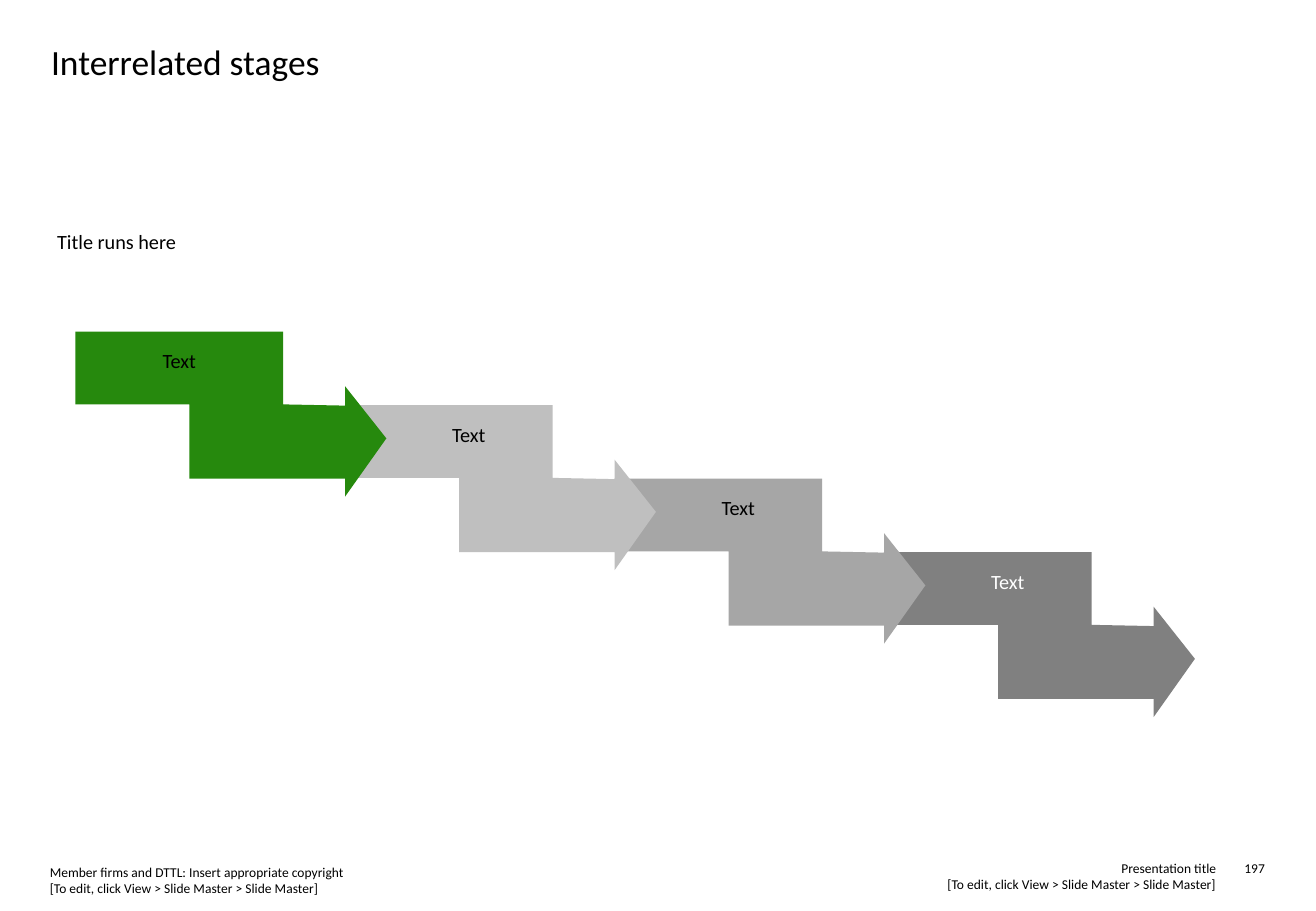
from pptx import Presentation
from pptx.dml.color import RGBColor
from pptx.enum.text import MSO_ANCHOR, PP_ALIGN
from pptx.util import Inches, Pt

BLACK = RGBColor(0x00, 0x00, 0x00)
WHITE = RGBColor(0xFF, 0xFF, 0xFF)
GREEN = RGBColor(0x26, 0x89, 0x0D)
LIGHT = RGBColor(0xBF, 0xBF, 0xBF)
MEDIUM = RGBColor(0xA6, 0xA6, 0xA6)
DARK = RGBColor(0x80, 0x80, 0x80)

STAGES = [
    ("Text", GREEN, BLACK, 0.02, 1.67),
    ("Text", LIGHT, BLACK, 0.35, 1.34),
    ("Text", MEDIUM, BLACK, 0.35, 1.34),
    ("Text", DARK, WHITE, 0.35, 1.34),
]
ARROW = [
    (0, 0), (1.71, 0), (1.71, 0.6), (2.22, 0.61), (2.22, 0.45), (2.56, 0.88),
    (2.22, 1.36), (2.22, 1.21), (0.94, 1.21), (0.94, 0.6), (0, 0.6),
]
STEP_X, STEP_Y = 2.218, 0.605


def fill_text(sp, lines, size, color=BLACK, align=PP_ALIGN.LEFT, spacing=1.0):
    tf = sp.text_frame
    tf.word_wrap = True
    tf.vertical_anchor = MSO_ANCHOR.TOP
    tf.margin_left = tf.margin_top = tf.margin_right = tf.margin_bottom = 0
    p = tf.paragraphs[0]
    p.alignment = align
    p.line_spacing = spacing
    p.space_before = Pt(0)
    for i, line in enumerate(lines):
        if i:
            p.add_line_break()
        r = p.add_run()
        r.text = line
        r.font.name = "Calibri"
        r.font.size = Pt(size)
        r.font.color.rgb = color


def add_text(s, x, y, w, h, lines, size, **style):
    sp = s.shapes.add_textbox(Inches(x), Inches(y), Inches(w), Inches(h))
    fill_text(sp, lines, size, **style)


def add_title(s, x, y, w, h):
    sp = s.shapes.title
    sp.left, sp.top, sp.width, sp.height = Inches(x), Inches(y), Inches(w), Inches(h)
    fill_text(sp, ["Interrelated stages"], 21)


def add_stage(s, x, y, label, fill, color, inset, width):
    points = [(Inches(x + dx), Inches(y + dy)) for dx, dy in ARROW]
    fb = s.shapes.build_freeform(*points[0])
    fb.add_line_segments(points[1:], close=True)
    sp = fb.convert_to_shape()
    sp.shadow.inherit = False
    sp.fill.solid()
    sp.fill.fore_color.rgb = fill
    sp.line.fill.background()
    add_text(s, x + inset, y + 0.16, width, 0.18, [label], 12,
             color=color, align=PP_ALIGN.CENTER, spacing=0.9)


def add_stages(s, x, y):
    for i, stage in reversed(list(enumerate(STAGES))):
        add_stage(s, x + i * STEP_X, y + i * STEP_Y, *stage)


def add_footer(s, x, y, w):
    hint = "[To edit, click View > Slide Master > Slide Master]"
    add_text(s, x + w - 4.75, y, 4.35, 0.27, ["Presentation title", hint], 8,
             align=PP_ALIGN.RIGHT)
    add_text(s, x, y + 0.03, 4.76, 0.27,
             ["Member firms and DTTL: Insert appropriate copyright", hint], 8)
    add_text(s, x + w - 0.27, y, 0.27, 0.13, ["197"], 8, align=PP_ALIGN.RIGHT)


def main():
    prs = Presentation()
    prs.slide_width, prs.slide_height = Inches(10.83), Inches(7.5)
    s = prs.slides.add_slide(prs.slide_layouts[5])
    add_footer(s, 0.41, 7.08, 10)
    add_title(s, 0.42, 0.33, 9.95, 0.38)
    add_stages(s, 0.62, 2.73)
    add_text(s, 0.47, 1.89, 7.42, 0.2, ["Title runs here"], 12)
    prs.save("out.pptx")


if __name__ == "__main__":
    main()
